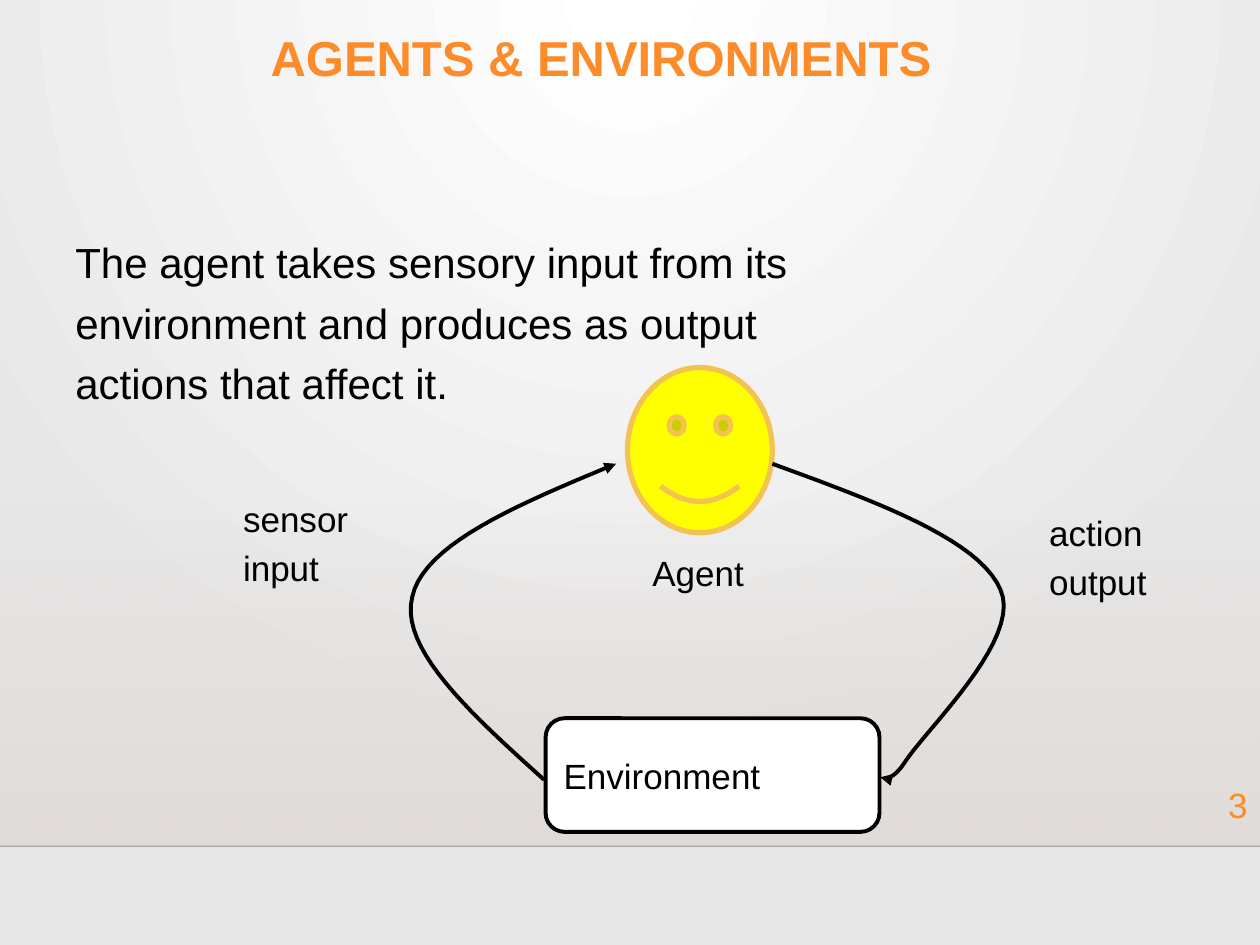
from lxml import etree
from pptx import Presentation
from pptx import util as u
from pptx.dml import color
from pptx.enum import shapes, text
from pptx.oxml import ns

COLORS = {
    "ink": "000000", "accent": "FB8C29", "white": "FFFFFF", "edge": "E7E7E7",
    "floor": "DFD9D5", "rule": "000001", "face": "FFFF00", "face_line": "F2C351",
}


def rgb(name):
    return color.RGBColor.from_string(COLORS[name])


def add_child(parent, tag, **attributes):
    return etree.SubElement(parent, ns.qn(tag), attributes)


def set_alpha(color_element, percent):
    add_child(color_element, "a:alpha", val=str(percent * 1000))


def write(frame, lines, size=20, ink="ink", bold=False, align="LEFT",
          spacing=None, gap=0, anchor="TOP"):
    frame.word_wrap = True
    frame.vertical_anchor = getattr(text.MSO_ANCHOR, anchor)
    for index, line in enumerate(lines.split("\n")):
        paragraph = frame.paragraphs[0] if index == 0 else frame.add_paragraph()
        paragraph.alignment = getattr(text.PP_ALIGN, align)
        if spacing:
            paragraph.line_spacing = spacing
        if index and gap:
            paragraph.space_before = u.Pt(gap)
        run = paragraph.add_run()
        run.text = line
        run.font.name = "Arial"
        run.font.size = u.Pt(size)
        run.font.bold = bold
        run.font.color.rgb = rgb(ink)


def bezier_points(points, steps=20):
    """Sample a chain of cubic curves whose end points are shared."""
    for first in range(0, len(points) - 1, 3):
        a, b, c, d = points[first:first + 4]
        for step in range(1, steps + 1):
            t = step / steps
            s = 1 - t
            yield tuple(u.Cm(s**3 * p + 3 * s * s * t * q + 3 * s * t * t * r + t**3 * v)
                        for p, q, r, v in zip(a, b, c, d))


class Diagram:
    line_width = 2.25

    def __init__(self, slide):
        self.slide = slide

    def background(self, inner, outer):
        fill = self.slide.background.fill
        fill.gradient()
        self.stops(fill, inner, outer)
        gradient = self.slide.element.find(".//" + ns.qn("a:gradFill"))
        gradient.remove(gradient.find(ns.qn("a:lin")))
        circle = add_child(gradient, "a:path", path="circle")
        add_child(circle, "a:fillToRect", l="43000", t="0", r="43000", b="100000")

    def stops(self, fill, *names):
        for stop, name, position in zip(fill.gradient_stops, names, (0, 1)):
            stop.color.rgb = rgb(name)
            stop.position = position

    def shape(self, kind, box, fill=None, line=None, width=line_width):
        item = self.slide.shapes.add_shape(
            getattr(shapes.MSO_SHAPE, kind), *map(u.Cm, box))
        item.shadow.inherit = False
        if fill:
            item.fill.solid()
            item.fill.fore_color.rgb = rgb(fill)
        if line:
            item.line.color.rgb = rgb(line)
            item.line.width = u.Pt(width)
        else:
            item.line.fill.background()
        return item

    def fade(self, box, name, alphas):
        band = self.shape("RECTANGLE", box)
        band.fill.gradient()
        band.fill.gradient_angle = 270
        self.stops(band.fill, name, name)
        for tint, alpha in zip(band.element.spPr.iter(ns.qn("a:srgbClr")), alphas):
            set_alpha(tint, alpha)

    def rule(self, start, end, name, alpha):
        line = self.slide.shapes.add_connector(
            shapes.MSO_CONNECTOR.STRAIGHT, *map(u.Cm, start + end))
        line.line.color.rgb = rgb(name)
        line.line.width = u.Pt(1)
        properties = line.element.spPr
        set_alpha(properties.find(".//" + ns.qn("a:srgbClr")), alpha)
        add_child(properties, "a:effectLst")

    def arrow(self, points):
        builder = self.slide.shapes.build_freeform(*map(u.Cm, points[0]))
        builder.add_line_segments(list(bezier_points(points)), close=False)
        curve = builder.convert_to_shape()
        curve.shadow.inherit = False
        curve.fill.background()
        curve.line.color.rgb = rgb("ink")
        curve.line.width = u.Pt(self.line_width)
        add_child(curve.element.spPr.find(ns.qn("a:ln")), "a:tailEnd", type="triangle")

    def label(self, box, lines, **style):
        write(self.slide.shapes.add_textbox(*map(u.Cm, box)).text_frame, lines, **style)


def main():
    deck = Presentation()
    deck.slide_width, deck.slide_height = u.Cm(25.4), u.Cm(19.05)
    diagram = Diagram(deck.slides.add_slide(deck.slide_layouts[6]))

    # Backdrop
    diagram.background("white", "edge")
    diagram.fade((0, 10.06, 25.4, 7), "floor", (0, 80))
    diagram.rule((0, 17.06), (25.4, 17.06), "rule", 20)

    # Agent and environment
    diagram.shape("SMILEY_FACE", (12.65, 7.41, 2.92, 3.33), "face", "face_line", 3)
    environment = diagram.shape("ROUNDED_RECTANGLE", (11, 14.48, 6.73, 2.29), "white", "ink")
    write(environment.text_frame, "Environment", anchor="MIDDLE")

    # Action arrow to the environment, sensor arrow to the agent
    diagram.arrow([(15.57, 9.35), (17.65, 10.11), (19.74, 10.87), (20.17, 11.89),
                   (20.62, 12.88), (18.64, 14.73), (18.24, 15.37),
                   (17.83, 16), (17.58, 15.47), (17.75, 15.67)])
    diagram.arrow([(10.97, 15.72), (9.5, 14.4), (8.05, 13.08), (8.31, 12.04),
                   (8.53, 10.97), (10.46, 10.16), (12.42, 9.35)])

    # Labels, with room so that no word breaks
    diagram.label((4.65, 9.91, 3, 2.11), "sensor\ninput", gap=4)
    diagram.label((20.9, 10.19, 3, 2.11), "action\noutput", gap=4)
    diagram.label((12.9, 11, 2.8, 1.09), "Agent")

    # Title, statement and slide number
    diagram.label((3.71, 0.56, 16.81, 2.11), "AGENTS & ENVIRONMENTS",
                  size=28, ink="accent", bold=True, align="CENTER", spacing=0.9)
    diagram.label((1.27, 4.45, 16.08, 4.5),
                  "The agent takes sensory input from its environment "
                  "and produces as output actions that affect it.",
                  size=24, spacing=1.2)
    diagram.label((23.19, 15.67, 2.21, 1.4), "3", ink="accent", align="RIGHT")

    deck.save("out.pptx")


if __name__ == "__main__":
    main()
